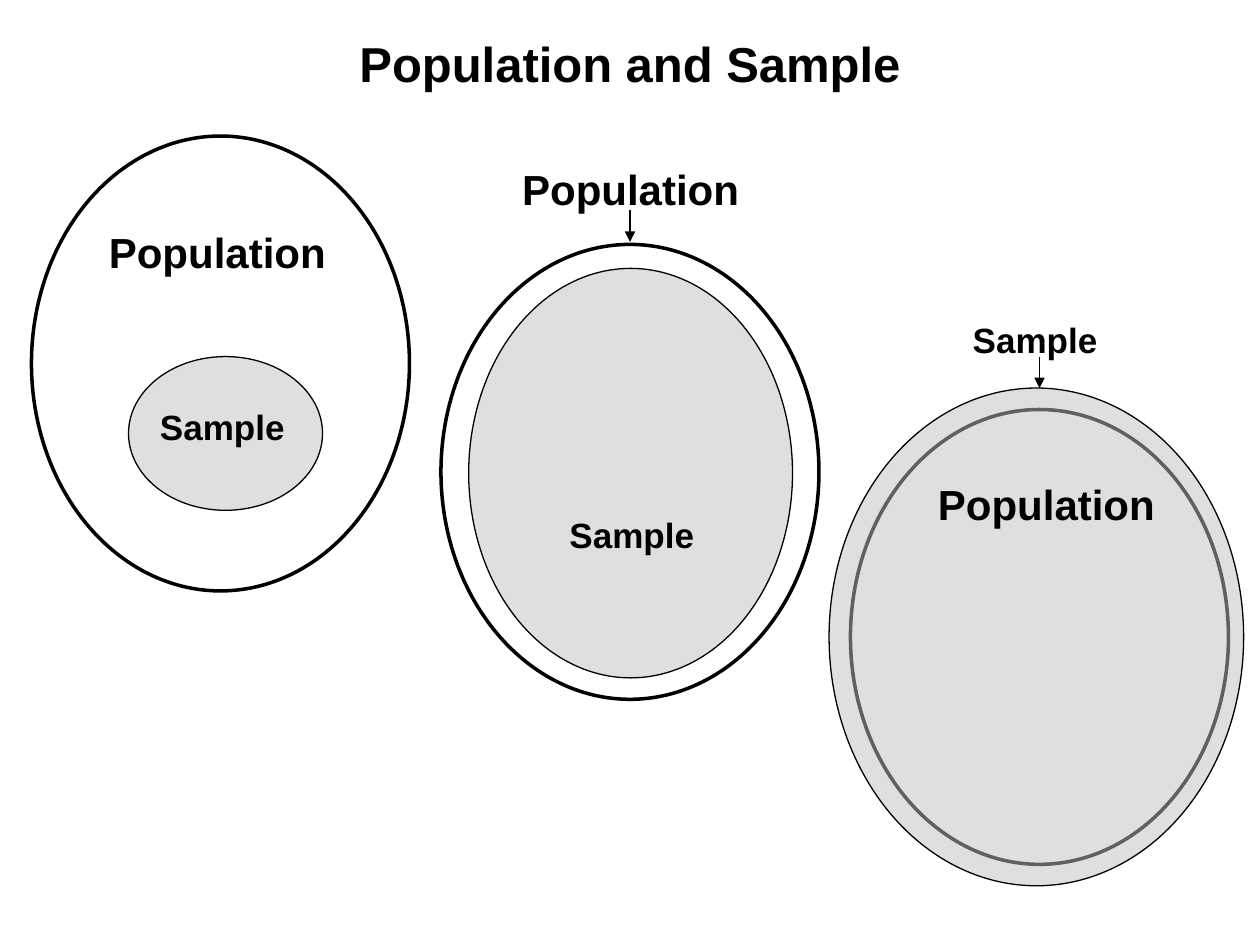
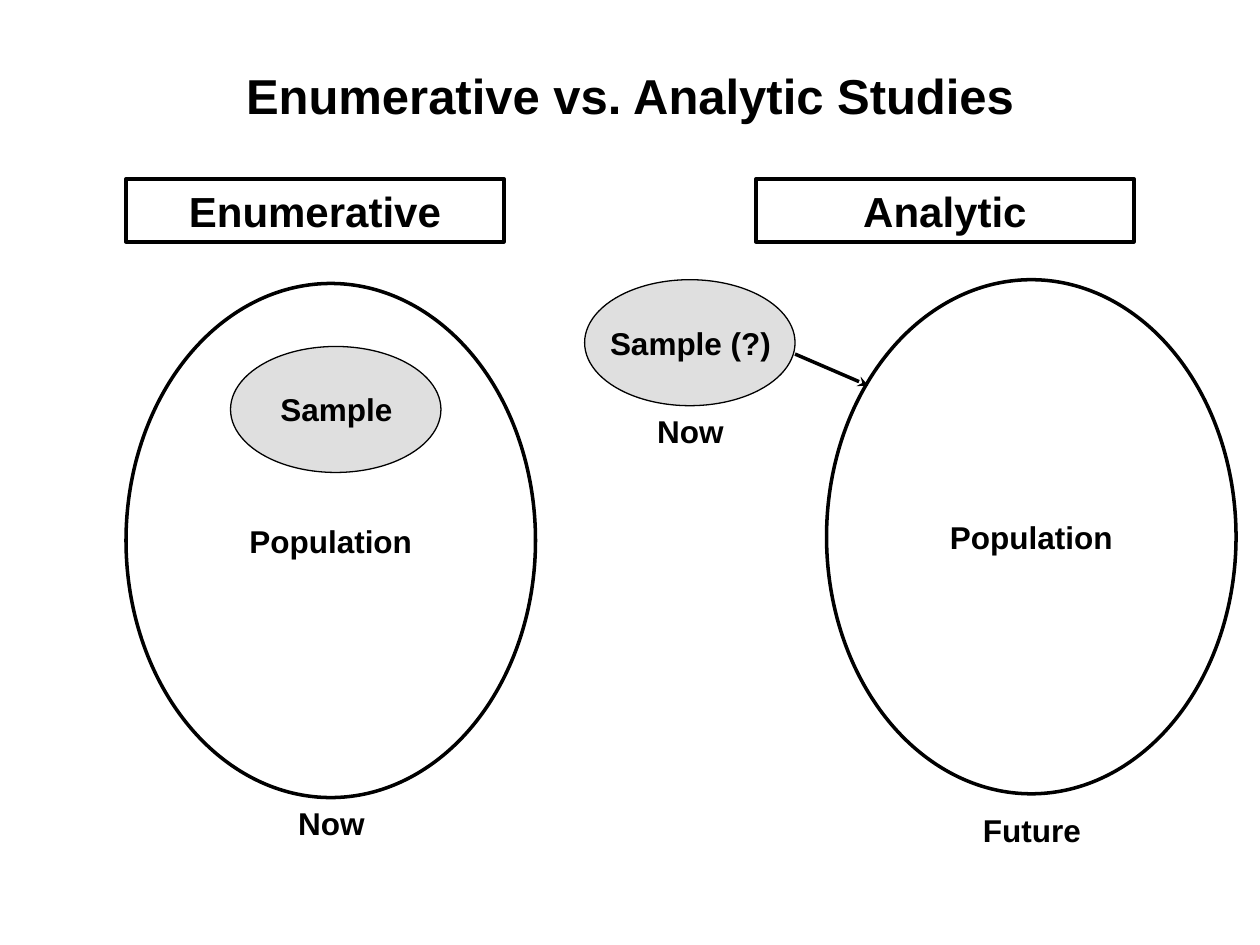
from pptx import Presentation
from pptx.dml.color import RGBColor
from pptx.enum.shapes import MSO_CONNECTOR, MSO_SHAPE
from pptx.enum.text import MSO_ANCHOR, MSO_AUTO_SIZE, PP_ALIGN
from pptx.oxml.ns import qn
from pptx.oxml.xmlchemy import OxmlElement
from pptx.util import Emu, Pt

BLACK = RGBColor(0x00, 0x00, 0x00)
WHITE = RGBColor(0xFF, 0xFF, 0xFF)
SAMPLE_GREY = RGBColor(0xC0, 0xC0, 0xC0)

EMU_PER_PX = 9144  # 100 px to the inch
TITLE_ONLY = 5
THICK, THIN = 2, 0.75
FONT = {"name": "Arial", "bold": True}
TITLE_SIZE, LARGE, MEDIUM, SMALL = 28, 24, 20, 18


def px(*lengths):
    return [Emu(length * EMU_PER_PX) for length in lengths]


class StudyDeck:
    def __init__(self):
        self.presentation = Presentation()
        self.presentation.slide_width, self.presentation.slide_height = px(1000, 750)
        self.slide = None

    def add_slide(self, title, box):
        layout = self.presentation.slide_layouts[TITLE_ONLY]
        self.slide = self.presentation.slides.add_slide(layout)
        shape = self.slide.shapes.title
        shape.left, shape.top, shape.width, shape.height = px(*box)
        self.set_text(shape, title, TITLE_SIZE, MSO_ANCHOR.MIDDLE, MSO_AUTO_SIZE.NONE)

    def set_text(self, shape, text, size, anchor=MSO_ANCHOR.TOP,
                 auto_size=MSO_AUTO_SIZE.SHAPE_TO_FIT_TEXT):
        frame = shape.text_frame
        frame.text = text
        settings = {"word_wrap": True, "vertical_anchor": anchor, "auto_size": auto_size}
        for name, value in settings.items():
            setattr(frame, name, value)
        paragraph = frame.paragraphs[0]
        paragraph.alignment = PP_ALIGN.CENTER
        font = paragraph.runs[0].font
        for name, value in {**FONT, "size": Pt(size)}.items():
            setattr(font, name, value)
        font.color.rgb = BLACK

    def shape(self, kind, box, fill=None, line_width=None):
        shape = self.slide.shapes.add_shape(kind, *px(*box))
        shape.shadow.inherit = False
        if fill is None:
            shape.fill.background()
        else:
            shape.fill.solid()
            shape.fill.fore_color.rgb = fill
        if line_width is None:
            shape.line.fill.background()
        else:
            shape.line.color.rgb = BLACK
            shape.line.width = Pt(line_width)
        return shape

    def population(self, box):
        self.shape(MSO_SHAPE.OVAL, box, WHITE, THICK)

    def sample(self, box):
        """Draw a half-transparent grey oval."""
        oval = self.shape(MSO_SHAPE.OVAL, box, SAMPLE_GREY, THIN)
        alpha = OxmlElement("a:alpha")
        alpha.set("val", "50000")
        fill = oval._element.spPr.find(qn("a:solidFill"))
        fill.find(qn("a:srgbClr")).append(alpha)

    def label(self, text, box, size, fill=None):
        text_box = self.slide.shapes.add_textbox(*px(*box))
        if fill is not None:
            text_box.fill.solid()
            text_box.fill.fore_color.rgb = fill
        self.set_text(text_box, text, size)

    def heading(self, text, box):
        rectangle = self.shape(MSO_SHAPE.RECTANGLE, box, line_width=THICK)
        self.set_text(rectangle, text, LARGE)

    def arrow(self, start, end, width, head):
        connector = self.slide.shapes.add_connector(
            MSO_CONNECTOR.STRAIGHT, *px(*start, *end))
        connector.line.color.rgb = BLACK
        connector.line.width = Pt(width)
        tail_end = OxmlElement("a:tailEnd")
        tail_end.set("type", head)
        properties = connector._element.spPr
        properties.find(qn("a:ln")).append(tail_end)
        properties.append(OxmlElement("a:effectLst"))


def build_population_and_sample(deck):
    deck.add_slide("Population and Sample", (0, 0, 1000, 100))
    # population corner, sample box, population label corner, sample label corner
    panels = [
        ((25, 108), (102, 283, 154, 122), (75, 175), (108, 317)),
        ((350, 194), (372, 213, 257, 325), (403, 125), (433, 403)),
        ((675, 325), (658, 308, 329, 395), (733, 375), (753, 248)),
    ]
    for population, sample, population_label, sample_label in panels:
        deck.population((*population, 300, 361))
        deck.sample(sample)
        deck.label("Population", (*population_label, 195, 50), LARGE)
        deck.label("Sample", (*sample_label, 137, 43), MEDIUM)
    for x, top in ((500, 167), (825, 283)):
        deck.arrow((x, top), (x, top + 25), THIN, "triangle")


def build_enumerative_and_analytic(deck):
    deck.add_slide("Enumerative vs. Analytic Studies", (75, 25, 850, 100))
    # heading, its left, population corner, sample text, sample corner
    studies = [
        ("Enumerative", 100, (100, 225), "Sample", (183, 275)),
        ("Analytic", 600, (656, 222), "Sample (?)", (464, 222)),
    ]
    for heading, heading_left, (left, top), sample, (sample_left, sample_top) in studies:
        deck.heading(heading, (heading_left, 142, 300, 50))
        deck.population((left, top, 325, 408))
        deck.label("Population", (left + 75, top + 184, 175, 40), SMALL, WHITE)
        deck.sample((sample_left, sample_top, 167, 100))
        deck.label(sample, (sample_left + 10, sample_top + 30, 148, 40), SMALL)
    deck.arrow((631, 281), (689, 306), THICK, "stealth")
    for time, left, top in (("Now", 188, 633), ("Now", 473, 322), ("Future", 744, 639)):
        deck.label(time, (left, top, 150, 40), SMALL)


def main():
    deck = StudyDeck()
    build_population_and_sample(deck)
    build_enumerative_and_analytic(deck)
    deck.presentation.save("out.pptx")


if __name__ == "__main__":
    main()
